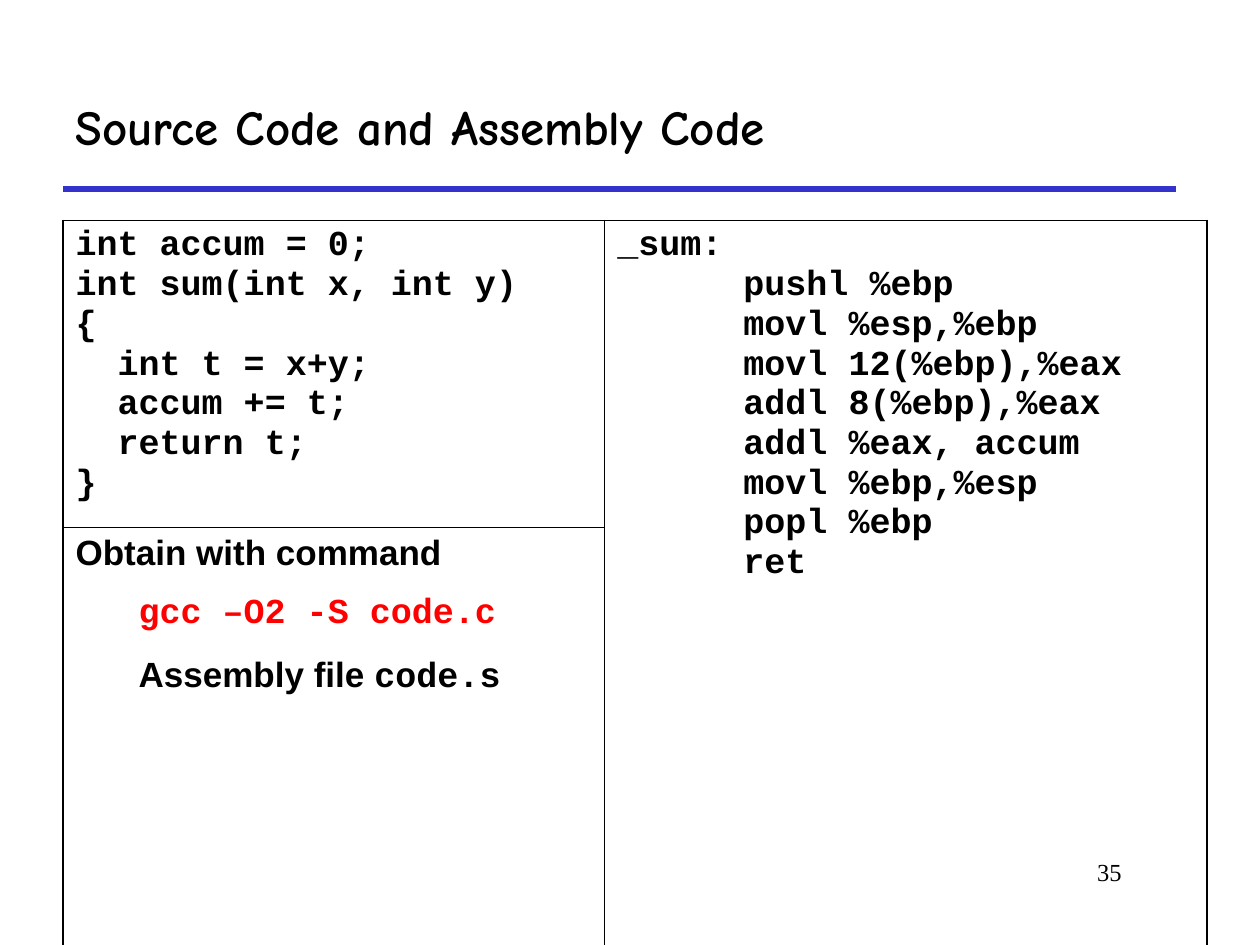
from dataclasses import dataclass
from typing import NamedTuple

from lxml.etree import SubElement
from pptx import Presentation
from pptx.dml.color import RGBColor
from pptx.enum.shapes import MSO_CONNECTOR
from pptx.enum.text import MSO_ANCHOR, PP_ALIGN
from pptx.oxml import parse_xml
from pptx.oxml.ns import nsdecls, qn
from pptx.util import Inches, Pt


@dataclass(frozen=True)
class Theme:
    ink: str = "000000"
    red: str = "FF0000"
    blue: str = "3333CC"
    head: str = "Comic Neue"
    sans: str = "Arial"
    mono: str = "Courier New"
    serif: str = "Times New Roman"
    big: float = 28
    mid: float = 20
    small: float = 14
    rule: float = 3
    thick: float = 1.08
    thin: float = 0.45


class Span(NamedTuple):
    text: str
    font: str
    color: str


class Line(NamedTuple):
    spans: list[Span]
    indent: float = 0
    gap: float = 0


THEME = Theme()


def write(para, text: str, *, font: str, size: float, color: str = THEME.ink, bold: bool = True) -> None:
    run = para.add_run()
    run.text = text
    run.font.name = font
    run.font.size = Pt(size)
    run.font.bold = bold
    run.font.color.rgb = RGBColor.from_string(color)


def place(shape, left: float, top: float, width: float, height: float) -> None:
    shape.left, shape.top = Inches(left), Inches(top)
    shape.width, shape.height = Inches(width), Inches(height)


def set_tab(para, stop: float) -> None:
    tabs = SubElement(para._p.get_or_add_pPr(), qn("a:tabLst"))
    SubElement(tabs, qn("a:tab"), pos=str(Inches(stop)), algn="l")


def fill_cell(cell, lines: list[Line]) -> None:
    frame = cell.text_frame
    for i, line in enumerate(lines):
        para = frame.paragraphs[0] if i == 0 else frame.add_paragraph()
        para.space_before = Pt(line.gap)
        para._p.get_or_add_pPr().set("marL", str(Inches(line.indent)))
        set_tab(para, 1)
        for span in line.spans:
            write(para, span.text, font=span.font, size=THEME.mid, color=span.color)


def edge_cell(cell, edges: dict[str, bool]) -> None:
    cell.fill.background()
    props = cell._tc.get_or_add_tcPr()
    for i, (side, outer) in enumerate(edges.items()):
        width = Pt(THEME.thick if outer else THEME.thin)
        props.insert(i, parse_xml(
            f'<a:ln{side} {nsdecls("a")} w="{width}"><a:solidFill>'
            f'<a:srgbClr val="{THEME.ink}"/></a:solidFill></a:ln{side}>'))


def code(text: str) -> list[Line]:
    return [Line([Span(row, THEME.mono, THEME.ink)]) for row in text.split("\n")]


SOURCE = code("""int accum = 0;
int sum(int x, int y)
{
  int t = x+y;
  accum += t;
  return t;
}""")

STEPS = ["pushl %ebp", "movl %esp,%ebp", "movl 12(%ebp),%eax", "addl 8(%ebp),%eax",
         "addl %eax, accum", "movl %ebp,%esp", "popl %ebp", "ret"]
OUTPUT = code("\n\t".join(["_sum:", *STEPS]))

NOTES = [
    Line([Span("Obtain with command", THEME.sans, THEME.ink)], gap=12.5),
    Line([Span("gcc –O2 -S code.c", THEME.mono, THEME.red)], indent=0.5, gap=12.5),
    Line([Span("Assembly file ", THEME.sans, THEME.ink),
          Span("code.s", THEME.mono, THEME.ink)], indent=0.5, gap=12.5),
]


def add_rule(slide) -> None:
    rule = slide.shapes.add_connector(
        MSO_CONNECTOR.STRAIGHT, Inches(0.5), Inches(1.5), Inches(9.33), Inches(1.5))
    rule.line.color.rgb = RGBColor.from_string(THEME.blue)
    rule.line.width = Pt(THEME.rule)
    SubElement(rule._element.spPr, qn("a:effectLst"))


def add_title(slide) -> None:
    title = slide.shapes.title
    place(title, 0.5, 0.5, 8.83, 1)
    frame = title.text_frame
    frame.vertical_anchor = MSO_ANCHOR.MIDDLE
    frame.paragraphs[0].alignment = PP_ALIGN.LEFT
    write(frame.paragraphs[0], "Source Code and Assembly Code", font=THEME.head, size=THEME.big)


def add_number(slide) -> None:
    box = slide.shapes.add_textbox(Inches(7.58), Inches(6.75), Inches(1.42), Inches(0.5))
    box.text_frame.word_wrap = True
    para = box.text_frame.paragraphs[0]
    para.alignment = PP_ALIGN.RIGHT
    write(para, "35", font=THEME.serif, size=THEME.small, bold=False)


def add_grid(slide) -> None:
    wide, high = (4.3, 4.78), (2.43, 3.5)
    table = slide.shapes.add_table(
        2, 2, Inches(0.5), Inches(1.75), Inches(sum(wide)), Inches(sum(high))).table
    table.first_row = table.horz_banding = False
    for col, width in zip(table.columns, wide):
        col.width = Inches(width)
    for row, height in zip(table.rows, high):
        row.height = Inches(height)
    table.cell(0, 1).merge(table.cell(1, 1))
    for r in range(2):
        for c in range(2):
            edge_cell(table.cell(r, c),
                      {"L": c == 0, "R": c == 1, "T": r == 0, "B": r == 1 or c == 1})
    fill_cell(table.cell(0, 0), SOURCE)
    fill_cell(table.cell(0, 1), OUTPUT)
    fill_cell(table.cell(1, 0), NOTES)


def main() -> None:
    deck = Presentation()
    deck.slide_width, deck.slide_height = Inches(10), Inches(7.5)
    slide = deck.slides.add_slide(deck.slide_layouts[5])
    add_rule(slide)
    add_number(slide)
    add_title(slide)
    add_grid(slide)
    deck.save("out.pptx")


if __name__ == "__main__":
    main()
